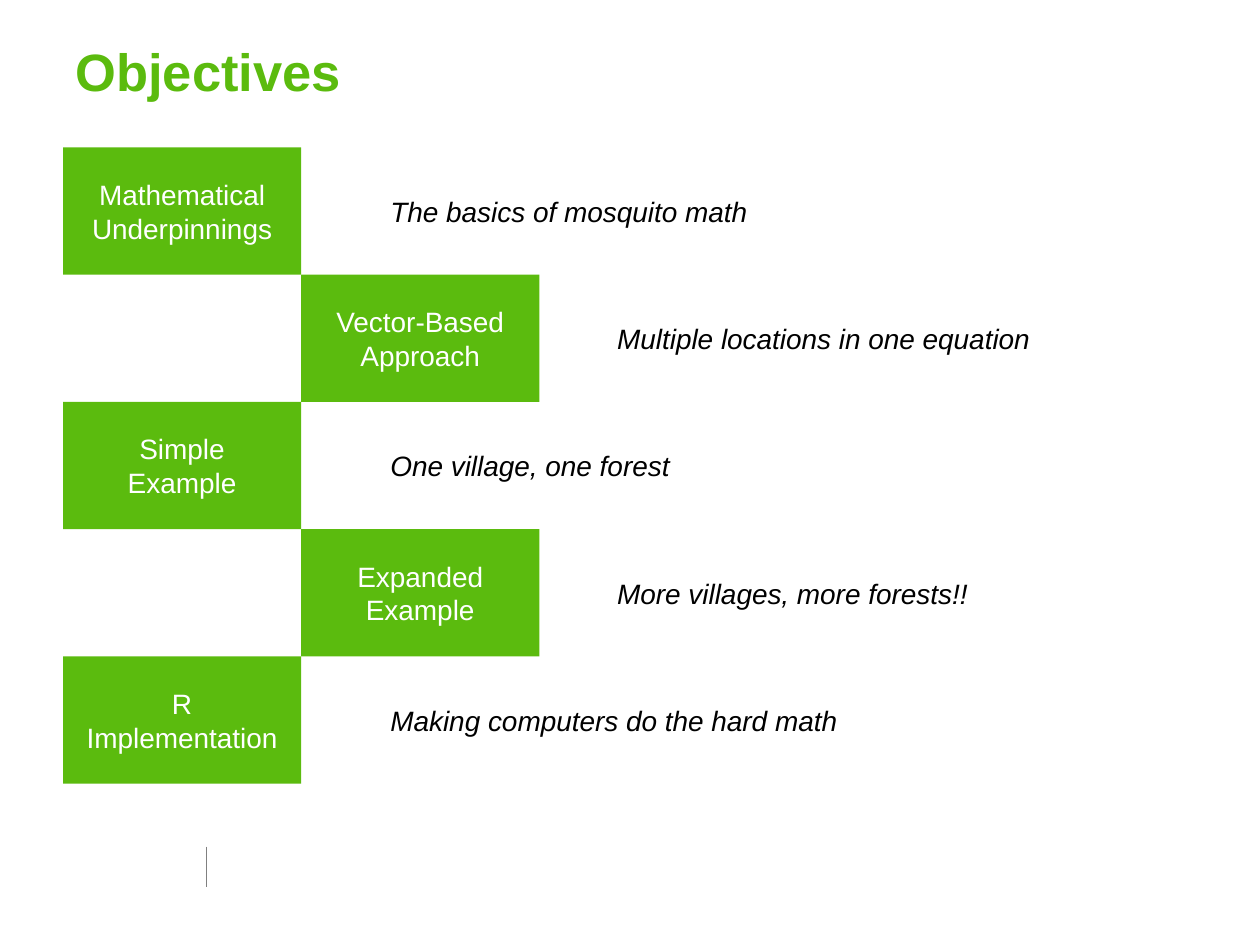
from dataclasses import dataclass

from lxml import etree
from pptx import Presentation
from pptx.dml.color import RGBColor
from pptx.enum.shapes import MSO_CONNECTOR, MSO_SHAPE
from pptx.enum.text import MSO_ANCHOR, PP_ALIGN
from pptx.oxml.ns import qn
from pptx.util import Inches, Pt

RECT = MSO_SHAPE.RECTANGLE
LINE = MSO_CONNECTOR.STRAIGHT
LEFT, CENTER = PP_ALIGN.LEFT, PP_ALIGN.CENTER
MIDDLE, BOTTOM = MSO_ANCHOR.MIDDLE, MSO_ANCHOR.BOTTOM


@dataclass(frozen=True)
class Theme:
    font: str = "Arial"
    green: str = "5BBB0E"
    white: str = "FFFFFF"
    black: str = "000000"
    gray: str = "808080"
    head: float = 30
    body: float = 16
    hair: float = 0.25


# Grid of the staggered steps, in inches
X0, Y0 = 0.5, 1.17
COL, ROW = 1.89, 1.01
NOTE_X, NOTE_W, NOTE_H = (3, 4.8), 4.36, 0.37

STEPS = [
    (("Mathematical", "Underpinnings"), "The basics of mosquito math"),
    (("Vector-Based", "Approach"), "Multiple locations in one equation"),
    (("Simple", "Example"), "One village, one forest"),
    (("Expanded", "Example"), "More villages, more forests!!"),
    (("R", "Implementation"), "Making computers do the hard math"),
]


def color(code):
    return RGBColor.from_string(code)


def write(frame, *lines, font, size, ink, bold=False, italic=False,
          align=LEFT, anchor=MIDDLE):
    """Fill a text frame with one paragraph per line."""
    frame.word_wrap = True
    frame.vertical_anchor = anchor
    for i, line in enumerate(lines):
        para = frame.add_paragraph() if i else frame.paragraphs[0]
        para.alignment = align
        run = para.add_run()
        run.text = line
        run.font.name = font
        run.font.size = Pt(size)
        run.font.bold = bold
        run.font.italic = italic
        run.font.color.rgb = color(ink)


class Deck:
    def __init__(self, theme):
        self.theme = theme
        self.file = Presentation()
        self.file.slide_width, self.file.slide_height = Inches(10), Inches(7.5)
        self.slide = self.file.slides.add_slide(self.file.slide_layouts[5])
        self.shapes = self.slide.shapes

    def title(self, text, x, y, w, h):
        box = self.shapes.title
        box.left, box.top, box.width, box.height = map(Inches, (x, y, w, h))
        write(box.text_frame, text, font=self.theme.font, size=self.theme.head,
              ink=self.theme.green, bold=True, anchor=BOTTOM)

    def rule(self, x, top, end):
        line = self.shapes.add_connector(
            LINE, *map(Inches, (x, top, x, end)))
        line.line.color.rgb = color(self.theme.gray)
        line.line.width = Pt(self.theme.hair)
        etree.SubElement(line._element.spPr, qn("a:effectLst"))

    def step(self, lines, col, row):
        box = self.shapes.add_shape(RECT, *map(
            Inches, (X0 + col * COL, Y0 + row * ROW, COL, ROW)))
        box.shadow.inherit = False
        box.fill.solid()
        box.fill.fore_color.rgb = color(self.theme.green)
        box.line.fill.background()
        write(box.text_frame, *lines, font=self.theme.font,
              size=self.theme.body, ink=self.theme.white, align=CENTER)

    def note(self, text, col, row):
        top = Y0 + row * ROW + (ROW - NOTE_H) / 2
        box = self.shapes.add_textbox(*map(
            Inches, (NOTE_X[col], top, NOTE_W, NOTE_H)))
        write(box.text_frame, text, font=self.theme.font,
              size=self.theme.body, ink=self.theme.black, italic=True)


def main():
    deck = Deck(Theme())
    # Footer rule and heading
    deck.rule(1.64, 6.72, 7.04)
    deck.title("Objectives", X0, 0.25, 8.96, 0.61)
    # Steps alternate between the two columns
    for row, (lines, _) in enumerate(STEPS):
        deck.step(lines, row % 2, row)
    # One remark beside each step
    for row, (_, text) in enumerate(STEPS):
        deck.note(text, row % 2, row)
    deck.file.save("out.pptx")


if __name__ == "__main__":
    main()
